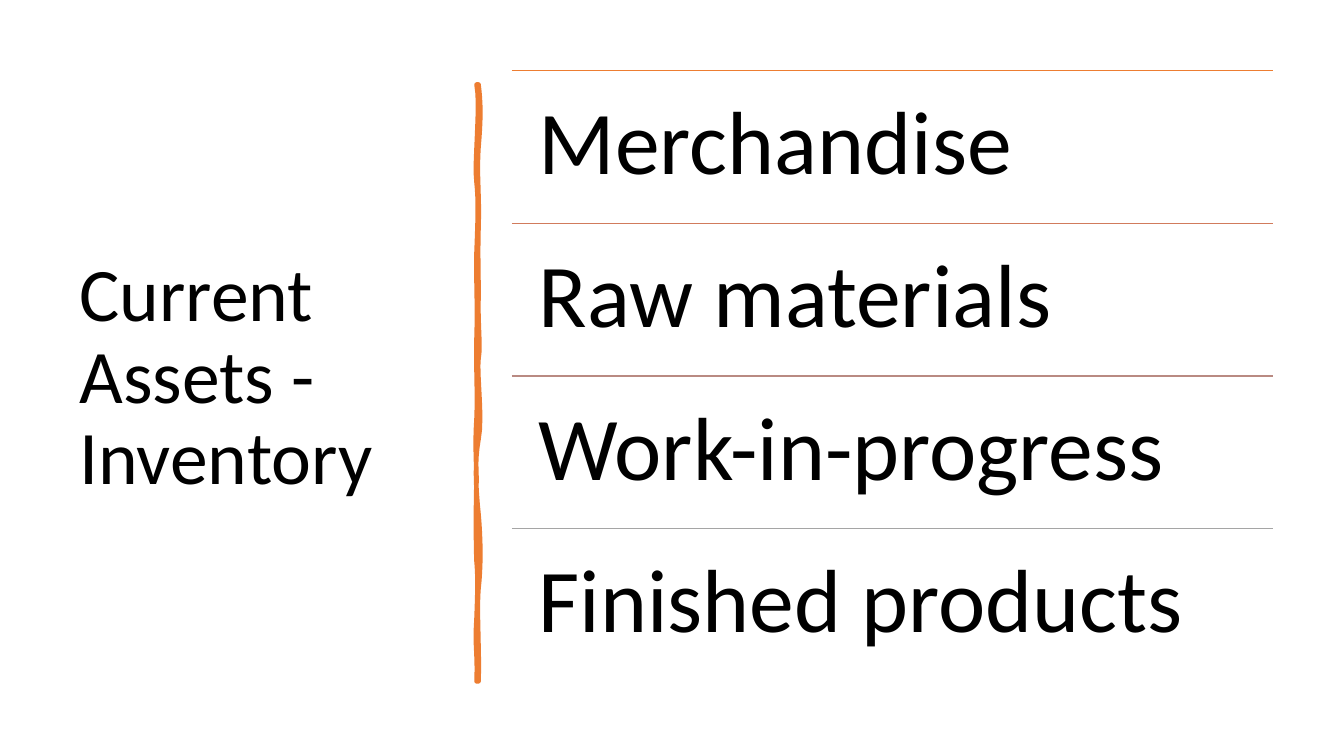
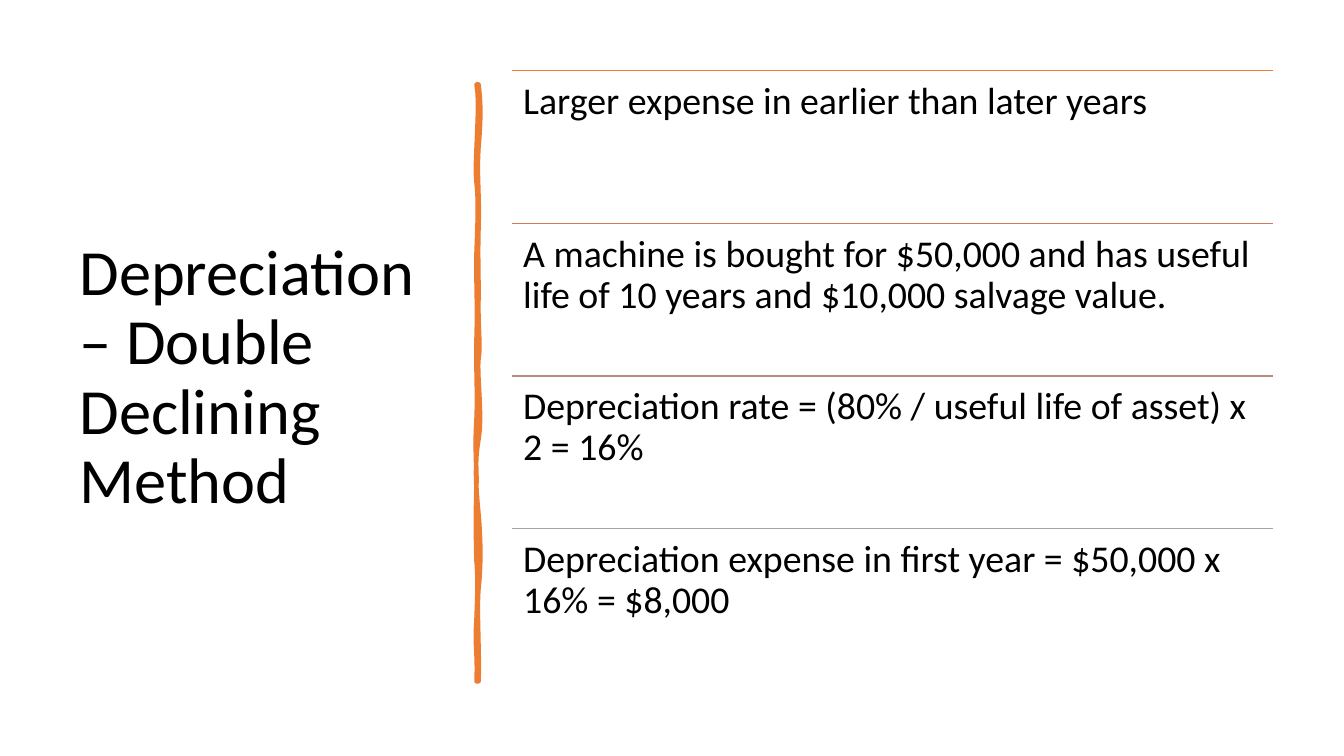
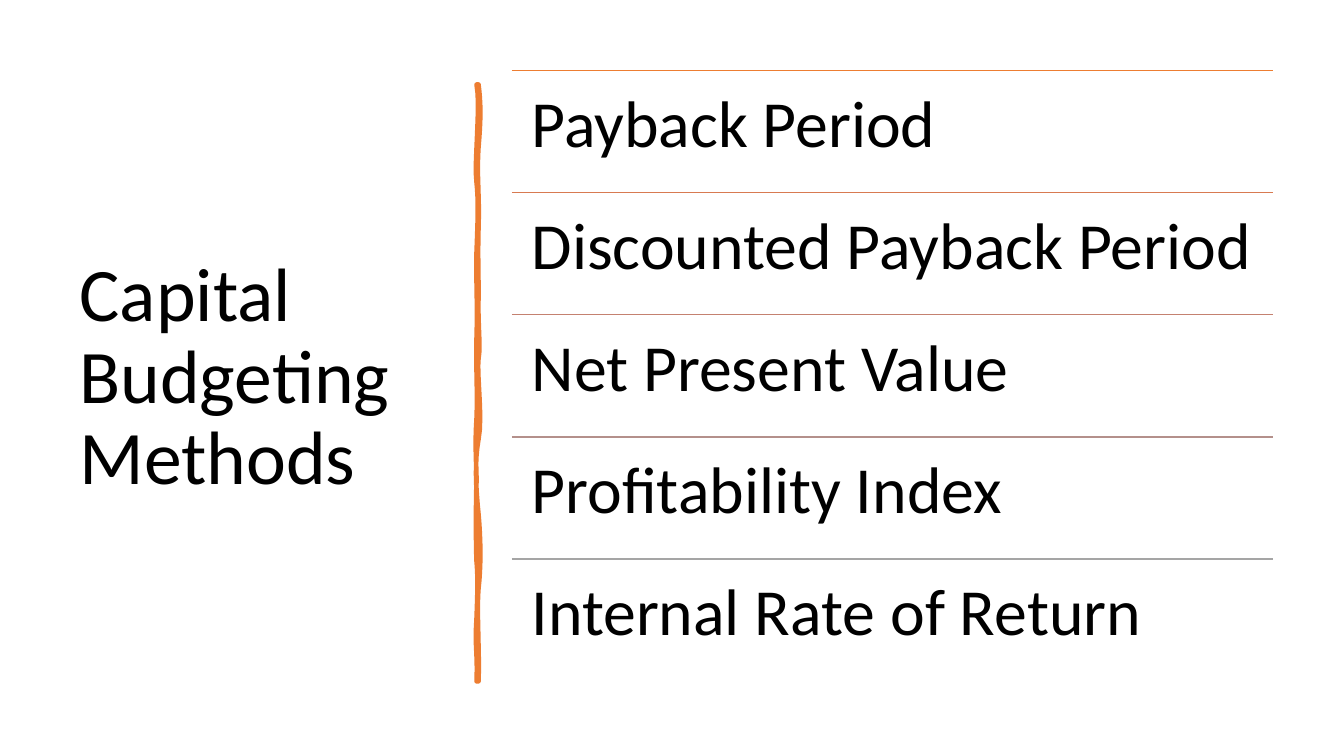
"""Builds three slides, each with a title, a brush stroke and a ruled list."""
import pptx
import pptx.dml.color
import pptx.enum.shapes
import pptx.enum.text
import pptx.oxml
import pptx.oxml.ns
import pptx.util

Cm, Pt = pptx.util.Cm, pptx.util.Pt

SLIDES = [
    {"title": "Current Assets - Inventory", "head": 54, "size": 64, "rows": [
        "Merchandise",
        "Raw materials",
        "Work-in-progress",
        "Finished products",
    ]},
    {"title": "Depreciation – Double Declining Method", "head": 46, "size": 27, "rows": [
        "Larger expense in earlier than later years",
        "A machine is bought for $50,000 and has useful life of 10 years and $10,000 salvage value.",
        "Depreciation rate = (80% / useful life of asset) x 2 = 16%",
        "Depreciation expense in first year = $50,000 x 16% = $8,000",
    ]},
    {"title": "Capital Budgeting Methods", "head": 54, "size": 47, "rows": [
        "Payback Period",
        "Discounted Payback Period",
        "Net Present Value",
        "Profitability Index",
        "Internal Rate of Return",
    ]},
]

FONT, INK, ACCENT = "Calibri", "000000", "ED7D31"
RULES = {
    4: [ACCENT, "D17B5C", "B98A82", "A5A5A5"],
    5: [ACCENT, "D87A51", "C48170", "B4908B", "A5A5A5"],
}
LEFT, TOP, WIDTH, HEIGHT = 12.9, 1.78, 19.18, 15.38

BRUSH_TOP, BRUSH_END = 2.13, 17.17
RIGHT_X, LEFT_X = 12.06, 12.01
RIGHT_SIDE = [
    (12.12, 2.59, 12.12, 3.02, 3.71),
    (12.01, 4.39, 12.09, 4.95, 5.74),
    (12.04, 6.53, 12.06, 6.65, 7.47),
    (12.04, 8.26, 12.12, 8.69, 9.04),
    (12.01, 9.4, 12.17, 10.52, 11.07),
    (11.96, 11.61, 11.99, 12.29, 12.95),
    (12.12, 13.61, 12.12, 14.33, 14.83),
    (12.01, 15.32, 12.09, 16.51, BRUSH_END),
]
LEFT_SIDE = [
    (12.04, 16.41, 11.96, 16.36, 15.57),
    (12.04, 14.81, 12.04, 14.48, 14.15),
    (11.99, 13.82, 11.99, 12.57, 12.12),
    (12.01, 11.66, 11.96, 11.3, 10.54),
    (12.04, 9.8, 11.99, 9.47, 8.51),
    (12.04, 7.57, 11.99, 7.14, 6.35),
    (12.04, 5.54, 12.06, 5.08, 4.6),
    (11.94, 4.14, 12.12, 2.64, BRUSH_TOP),
]


def tint(code):
    return pptx.dml.color.RGBColor.from_string(code)


def write(frame, text, size):
    frame.text = text
    frame.word_wrap = True
    frame.auto_size = pptx.enum.text.MSO_AUTO_SIZE.NONE
    para = frame.paragraphs[0]
    para.alignment = pptx.enum.text.PP_ALIGN.LEFT
    para.line_spacing = 0.9
    font = para.runs[0].font
    font.name, font.size = FONT, Pt(size)
    font.color.rgb = tint(INK)


def trace(side, x, y, steps=8):
    dots = []
    for x1, y1, x2, y2, end in side:
        for step in range(1, steps + 1):
            t = step / steps
            u = 1 - t
            parts = (u ** 3, 3 * u * u * t, 3 * u * t * t, t ** 3)
            across = sum(a * b for a, b in zip(parts, (x, x1, x2, x)))
            down = sum(a * b for a, b in zip(parts, (y, y1, y2, end)))
            dots.append((Cm(across), Cm(down)))
        y = end
    return dots


def add_title(slide, text, size):
    title = slide.shapes.title
    title.left, title.top = Cm(1.75), Cm(TOP)
    title.width, title.height = Cm(9.5), Cm(15.52)
    write(title.text_frame, text, size)
    title.text_frame.vertical_anchor = pptx.enum.text.MSO_ANCHOR.MIDDLE


def add_brush(slide):
    pen = slide.shapes.build_freeform(Cm(RIGHT_X), Cm(BRUSH_TOP))
    pen.add_line_segments(trace(RIGHT_SIDE, RIGHT_X, BRUSH_TOP), close=False)
    pen.add_line_segments([(Cm(LEFT_X), Cm(BRUSH_END))], close=False)
    pen.add_line_segments(trace(LEFT_SIDE, LEFT_X, BRUSH_END))
    brush = pen.convert_to_shape()
    brush.shadow.inherit = False
    brush.fill.solid()
    brush.fill.fore_color.rgb = tint(ACCENT)
    brush.line.color.rgb = tint(ACCENT)
    brush.line.width = Pt(3.25)


def add_rule(slide, y, code):
    rule = slide.shapes.add_connector(
        pptx.enum.shapes.MSO_CONNECTOR.STRAIGHT, Cm(LEFT), y, Cm(LEFT + WIDTH), y)
    rule.line.color.rgb = tint(code)
    rule.line.width = Pt(1)
    props = rule._element.spPr
    props.append(pptx.oxml.parse_xml(
        "<a:effectLst %s/>" % pptx.oxml.ns.nsdecls("a")))


def add_rows(slide, rows, size):
    pitch = HEIGHT / len(rows)
    for i, (text, code) in enumerate(zip(rows, RULES[len(rows)])):
        y = Cm(TOP + i * pitch)
        add_rule(slide, y, code)
        box = slide.shapes.add_textbox(Cm(LEFT), y, Cm(WIDTH), Cm(pitch))
        frame = box.text_frame
        write(frame, text, size)
        inset = Pt(size * 0.3)
        frame.margin_left = frame.margin_right = inset
        frame.margin_top = frame.margin_bottom = inset


def main():
    deck = pptx.Presentation()
    deck.slide_width, deck.slide_height = Cm(33.87), Cm(19.05)
    for item in SLIDES:
        slide = deck.slides.add_slide(deck.slide_layouts[5])
        add_title(slide, item["title"], item["head"])
        add_brush(slide)
        add_rows(slide, item["rows"], item["size"])
    deck.save("out.pptx")


if __name__ == "__main__":
    main()
